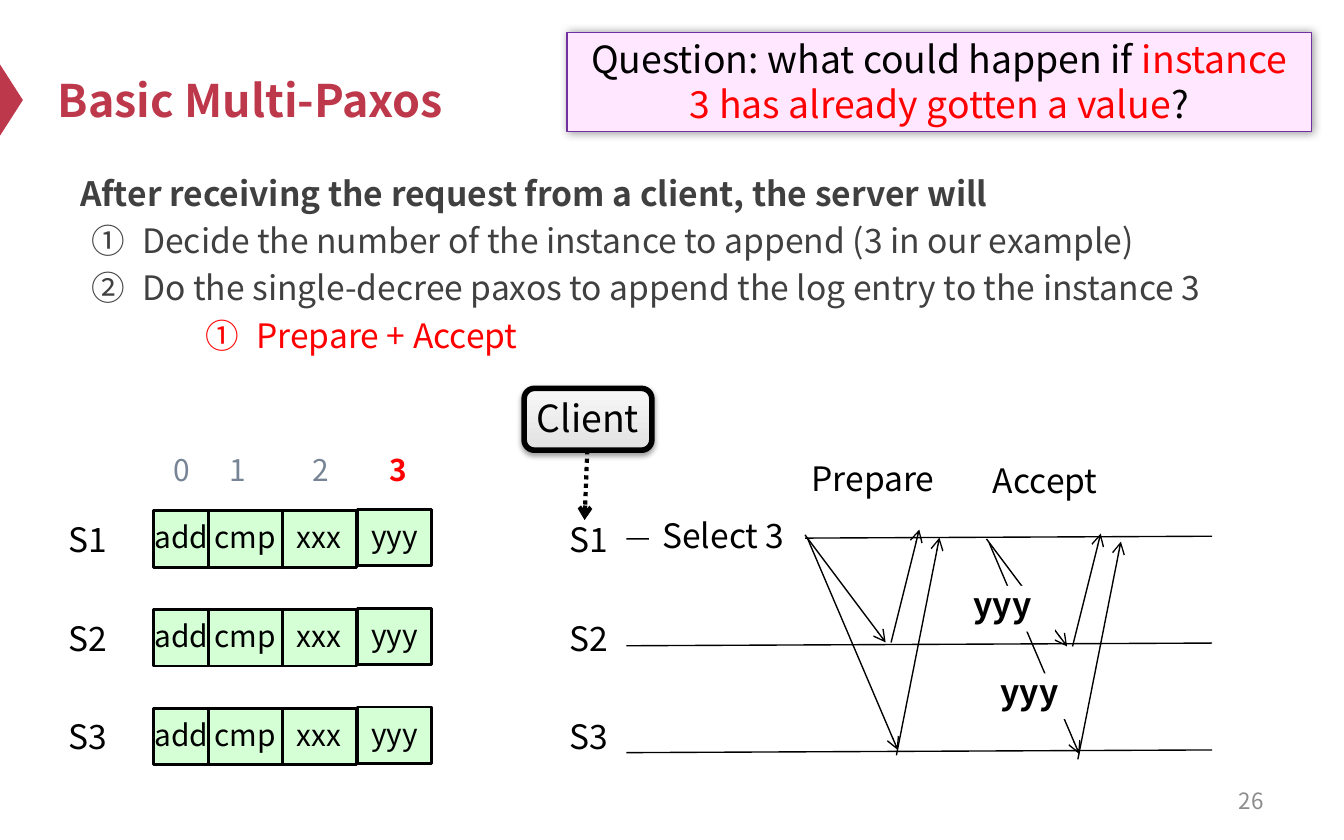
import dataclasses
import pptx
import pptx.util
import pptx.dml.color
import pptx.enum.dml
import pptx.enum.shapes
import pptx.enum.text
import pptx.oxml
import pptx.oxml.ns

Inches = pptx.util.Inches
Pt = pptx.util.Pt
Shape = pptx.enum.shapes.MSO_SHAPE
Align = pptx.enum.text.PP_ALIGN
Anchor = pptx.enum.text.MSO_ANCHOR
qn = pptx.oxml.ns.qn


def rgb(code):
    """Turn a hex code into a colour."""
    return pptx.dml.color.RGBColor.from_string(code)


def node(tag, inner="", **attrs):
    """Make one drawing element."""
    pairs = "".join(f' {key}="{value}"' for key, value in attrs.items())
    space = pptx.oxml.ns.nsdecls("a")
    return pptx.oxml.parse_xml(f"<a:{tag} {space}{pairs}>{inner}</a:{tag}>")


@dataclasses.dataclass(frozen=True)
class Theme:
    """Colours, font and type sizes."""
    font: str = "Noto Sans CJK SC"
    brand: str = "BE384B"
    ink: str = "000000"
    body: str = "404040"
    alert: str = "FF0000"
    muted: str = "778495"
    page: str = "8C8C8C"
    paper: str = "FFFFFF"
    cell: str = "D5FFD5"
    note: str = "FFE7FF"
    edge: str = "7030A0"
    dark: str = "E2E2E2"
    light: str = "F7F7F7"
    head: int = 24
    large: int = 20
    text: int = 18
    small: int = 16
    tiny: int = 12


class Deck:
    """Holds the style and the current slide."""

    def __init__(self, theme):
        self.theme = theme
        self.file = pptx.Presentation()
        self.file.slide_width = Inches(10)
        self.file.slide_height = Inches(6.25)
        self.slide = self.file.slides.add_slide(self.file.slide_layouts[5])

    def run(self, para, text, size, color, bold=False):
        """Add one styled run."""
        run = para.add_run()
        run.text = text
        font = run.font
        font.name, font.size, font.bold = self.theme.font, Pt(size), bold
        font.color.rgb = rgb(color)
        font._element.find(qn("a:latin")).addnext(node("ea", typeface=self.theme.font))

    def frame(self, shape, pad, anchor, wrap=True):
        """Set insets, anchor and wrapping."""
        frame = shape.text_frame
        frame.margin_left, frame.margin_top, frame.margin_right, frame.margin_bottom = map(Inches, pad)
        frame.vertical_anchor = anchor
        frame.word_wrap = wrap
        return frame

    def title(self, text, spot):
        """Place the title."""
        shape = self.slide.shapes.title
        shape.left, shape.top, shape.width, shape.height = map(Inches, spot)
        para = self.frame(shape, (0.1, 0.05, 0.1, 0.05), Anchor.MIDDLE).paragraphs[0]
        para.alignment = Align.LEFT
        self.run(para, text, self.theme.head, self.theme.brand, True)

    def label(self, text, spot, size, color, bold=False, align=Align.LEFT,
              pad=(0.1, 0.05, 0.1, 0.05), anchor=Anchor.TOP):
        """Add a plain text box."""
        shape = self.slide.shapes.add_textbox(*map(Inches, spot))
        para = self.frame(shape, pad, anchor).paragraphs[0]
        para.alignment = align
        self.run(para, text, size, color, bold)

    def steps(self, rows, spot):
        """Add a lead line with numbered steps."""
        frame = self.frame(self.slide.shapes.add_textbox(*map(Inches, spot)),
                           (0.1, 0.05, 0.1, 0.05), Anchor.TOP)
        for pos, (level, text, color) in enumerate(rows):
            para = frame.add_paragraph() if pos else frame.paragraphs[0]
            para.level = level
            if level:
                para.space_before = Pt(3.6)
                props = para._p.get_or_add_pPr()
                props.set("marL", str(Inches((0.46, 1.31)[level - 1])))
                props.set("indent", str(Inches(-0.38)))
                props.append(node("buAutoNum", type="circleNumDbPlain"))
            self.run(para, text, self.theme.text, color, not level)

    def box(self, spot, fill, runs=(), line=None, width=0.75, size=18, bold=False,
            kind=Shape.RECTANGLE, align=Align.CENTER, pad=(0.1, 0.05, 0.1, 0.05),
            anchor=Anchor.TOP, space=None, wrap=True):
        """Add a filled shape, with text if given."""
        shape = self.slide.shapes.add_shape(kind, *map(Inches, spot))
        shape.shadow.inherit = False
        shape.fill.solid()
        shape.fill.fore_color.rgb = rgb(fill)
        if line:
            shape.line.color.rgb = rgb(line)
            shape.line.width = Pt(width)
        else:
            shape.line.fill.background()
        para = self.frame(shape, pad, anchor, wrap).paragraphs[0]
        para.alignment = align
        if space:
            para.line_spacing = space
        for text, color in runs:
            self.run(para, text, size, color, bold)
        return shape

    def shade(self, shape, alpha, blur, dist=0, turn=0):
        """Cast a soft shadow."""
        tint = f'<a:srgbClr val="{self.theme.ink}"><a:alpha val="{alpha * 1000}"/></a:srgbClr>'
        shape._element.spPr.find(qn("a:effectLst")).append(
            node("outerShdw", tint, blurRad=Pt(blur), dist=Pt(dist), dir=turn * 60000, rotWithShape=0))

    def blend(self, shape, low, high):
        """Fill with a gradient from bottom to top."""
        shape.fill.gradient()
        shape.fill.gradient_angle = 90
        for stop, color in zip(shape.fill.gradient_stops, (low, high)):
            stop.color.rgb = rgb(color)

    def line(self, ends, width=0.75, arrow=False, dots=False):
        """Add a line or an arrow."""
        link = self.slide.shapes.add_connector(
            pptx.enum.shapes.MSO_CONNECTOR.STRAIGHT, *map(Inches, ends))
        link.line.color.rgb = rgb(self.theme.ink)
        link.line.width = Pt(width)
        if dots:
            link.line.dash_style = pptx.enum.dml.MSO_LINE.ROUND_DOT
        if arrow:
            link.line._get_or_add_ln().append(node("tailEnd", type="arrow"))
        link._element.spPr.append(node("effectLst"))


def main():
    """Build the slide."""
    look = Theme()
    deck = Deck(look)
    ink = look.ink

    mark = deck.box((-0.18, 0.66, 0.53, 0.17), look.brand, kind=Shape.ISOSCELES_TRIANGLE)
    mark.rotation = 90
    deck.title("Basic Multi-Paxos", (0.33, 0.25, 9, 0.98))
    deck.steps([
        (0, "After receiving the request from a client, the server will", look.body),
        (1, "Decide the number of the instance to append (3 in our example)", look.body),
        (1, "Do the single-decree paxos to append the log entry to the instance 3", look.body),
        (2, "Prepare + Accept", look.alert),
    ], (0.5, 1.24, 9, 1.89))
    deck.label("26", (7.17, 5.79, 2.33, 0.33), look.tiny, look.page,
               align=Align.RIGHT, anchor=Anchor.MIDDLE)
    ask = deck.box((4.22, 0.24, 5.54, 0.74), look.note, [
        ("Question: what could happen if ", ink),
        ("instance 3 has already gotten a value", look.alert),
        ("?", ink),
    ], look.edge, size=look.large, pad=(0.1, 0.03, 0.1, 0.03))
    deck.shade(ask, 40, 5)

    for num, left in enumerate((1.19, 1.61, 2.23, 2.8)):
        last = num == 3
        deck.label(str(num), (left, 3.31, 0.42, 0.37), look.small,
                   look.alert if last else look.muted, last)
    cells = (("add", 1.14, 0.42, 0), ("cmp", 1.55, 0.55, 0),
             ("xxx", 2.1, 0.55, 0), ("yyy", 2.66, 0.55, 0.01))
    for row in range(3):
        top = 3.8 + row * 0.735
        for word, left, width, lift in cells:
            deck.box((left, top - lift, width, 0.42), look.cell, [(word, ink)], ink, 1.5,
                     look.small, pad=(0, 0, 0, 0), anchor=Anchor.MIDDLE, space=Pt(17))
        for left in (0.51, 4.24):
            deck.label(f"S{row + 1}", (left, top + 0.06, 0.42, 0.3), look.text, ink, pad=(0, 0, 0, 0))
        level = 4.01 + row * 0.795
        deck.line((4.66, level, 9.02, level - 0.02))

    client = deck.box((3.9, 2.89, 0.95, 0.46), look.light, [("Client", ink)], ink, 3, look.large,
                      kind=Shape.ROUNDED_RECTANGLE, pad=(0.08, 0.03, 0.08, 0),
                      anchor=Anchor.MIDDLE, space=0.8, wrap=False)
    deck.blend(client, look.dark, look.light)
    deck.shade(client, 38, 3.1, 1.6, 90)
    deck.line((4.37, 3.35, 4.35, 3.87), 2.25, True, True)

    for word, left, top in (("Select 3", 4.83, 3.78), ("Prepare", 5.94, 3.36), ("Accept", 7.29, 3.37)):
        deck.box((left, top, 1.16, 0.4), look.paper, [(word, ink)], size=look.text, align=Align.LEFT)
    trips = ((6.01, 4.01, 6.68, 5.58), (5.99, 3.98, 6.59, 4.78),
             (6.63, 4.78, 6.84, 3.94), (6.67, 5.62, 6.99, 4))
    for right, down in ((0, 0), (1.35, 0.03)):
        for x1, y1, x2, y2 in trips:
            deck.line((x1 + right, y1 + down, x2 + right, y2 + down), arrow=True)
    for left, top in ((7.27, 5.01), (7.07, 4.36)):
        deck.box((left, top, 0.78, 0.34), look.paper, [("yyy", ink)], size=look.text,
                 bold=True, space=Pt(17))

    deck.file.save("out.pptx")


if __name__ == "__main__":
    main()
